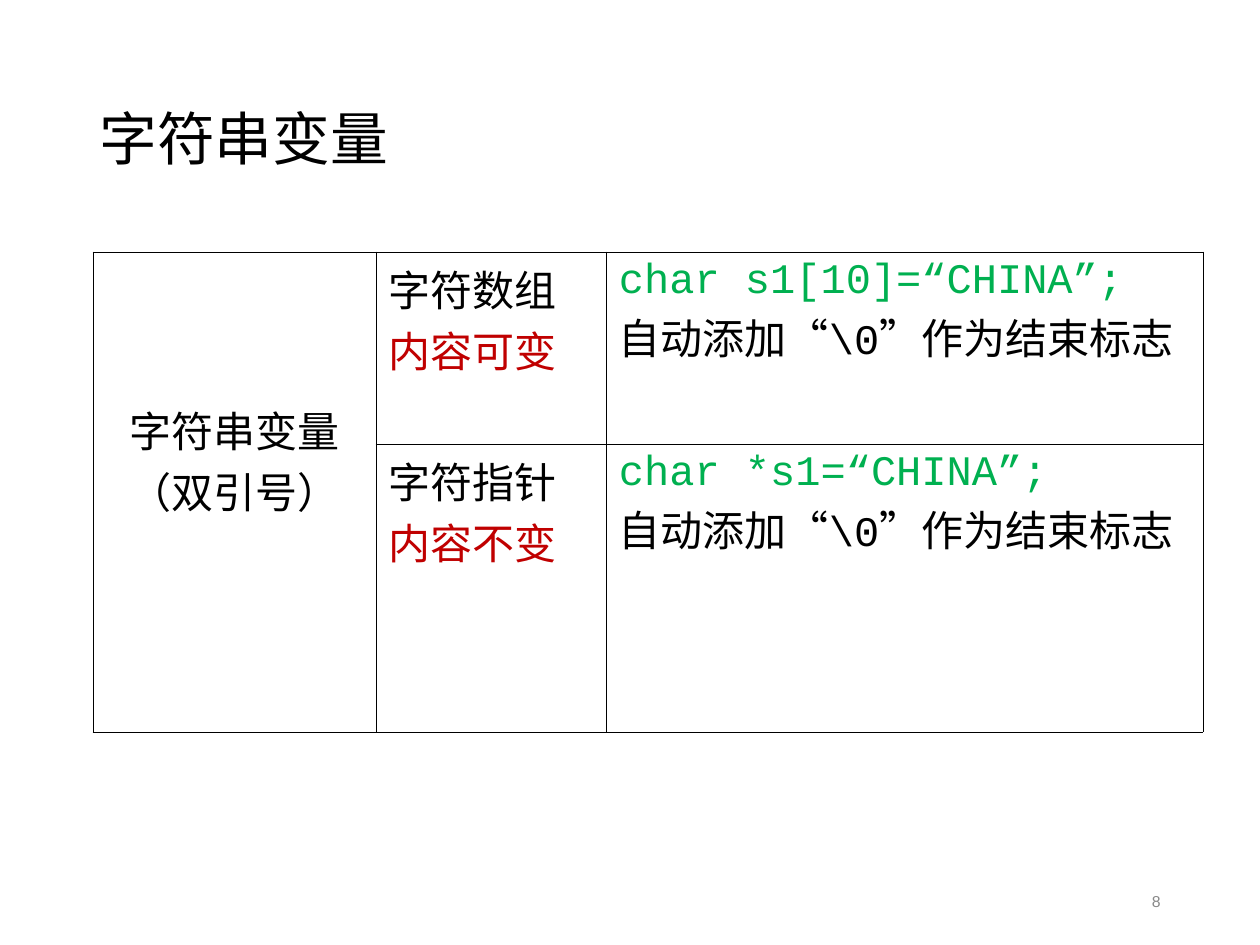
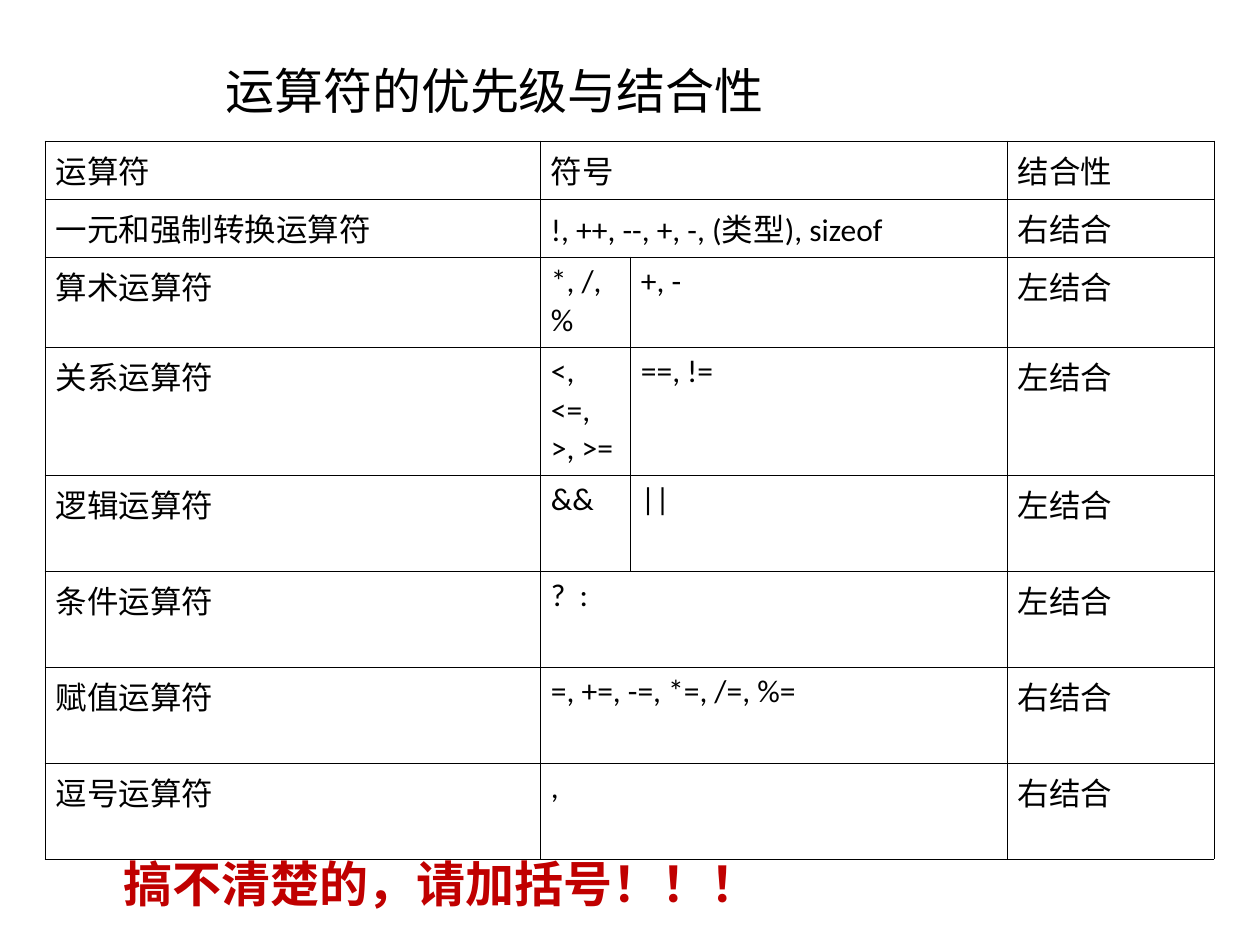
from lxml.etree import SubElement as Sub
from pptx import Presentation
from pptx.dml.color import RGBColor as RGB
from pptx.enum.text import MSO_ANCHOR as Anchor, PP_ALIGN as Align
from pptx.oxml.ns import qn
from pptx.util import Emu, Pt

SCALE = 914400 / 126
COLORS = {"ink": "000000", "red": "C00000", "green": "00B050", "gray": "898989"}
BODY, CODE, HAN, SANS = "Calibri", "Courier New", "Noto Sans CJK SC", "Arial"

# Each line of text: words, colour, font
END = ("自动添加“\\0”作为结束标志", "ink", CODE)
KINDS = [
    [
        [("字符串变量", "ink", BODY), ("（双引号）", "ink", BODY)],
        [("字符数组", "ink", BODY), ("内容可变", "red", BODY)],
        [("char s1[10]=“CHINA”;", "green", CODE), END],
    ],
    [
        None,
        [("字符指针", "ink", BODY), ("内容不变", "red", BODY)],
        [("char *s1=“CHINA”;", "green", CODE), END],
    ],
]

# Operators, one or two groups of symbols, associativity
RANKS = [
    ("运算符", ["符号"], "结合性"),
    ("一元和强制转换运算符", ["!, ++, --, +, -, (类型), sizeof"], "右结合"),
    ("算术运算符", ["*, /, %", "+, -"], "左结合"),
    ("关系运算符", ["<, <=, >, >=", "==, !="], "左结合"),
    ("逻辑运算符", ["&&", "||"], "左结合"),
    ("条件运算符", ["?  :"], "左结合"),
    ("赋值运算符", ["=, +=, -=, *=, /=, %="], "右结合"),
    ("逗号运算符", [","], "右结合"),
]


def px(n):
    return Emu(round(n * SCALE))


def write(frame, lines, size, align=Align.LEFT, bold=False, space=None):
    frame.text = "\n".join(words for words, _, _ in lines)
    for para, (_, color, face) in zip(frame.paragraphs, lines):
        para.alignment = align
        if space:
            para.line_spacing = space
        for run in para.runs:
            font = run.font
            font.name, font.size, font.bold = face, Pt(size), bold
            font.color.rgb = RGB.from_string(COLORS[color])
            Sub(run._r.get_or_add_rPr(), qn("a:ea"), typeface=HAN)


def add_text(slide, box, line, size, anchor=Anchor.TOP, **style):
    frame = slide.shapes.add_textbox(*map(px, box)).text_frame
    frame.word_wrap = True
    frame.vertical_anchor = anchor
    write(frame, [line], size, **style)


def add_title(slide, box, words, size, face):
    add_text(slide, box, (words, "ink", face), size, Anchor.MIDDLE, space=0.9)


def outline(cell):
    """Give the cell four thin black edges and no fill."""
    cell.fill.background()
    props = cell._tc.get_or_add_tcPr()
    for i, side in enumerate("LRTB"):
        edge = Sub(props, qn("a:ln" + side), w=str(Pt(0.45)))
        fill = Sub(edge, qn("a:solidFill"))
        Sub(fill, qn("a:srgbClr"), val=COLORS["ink"])
        props.insert(i, edge)


def add_grid(slide, left, top, cols, rows, pad):
    """Add a plain outlined table with the given side padding."""
    box = map(px, (left, top, sum(cols), sum(rows)))
    grid = slide.shapes.add_table(len(rows), len(cols), *box).table
    grid.first_row = grid.horz_banding = False
    for col, width in zip(grid.columns, cols):
        col.width = px(width)
    for row, height in zip(grid.rows, rows):
        row.height = px(height)
    for cell in grid.iter_cells():
        cell.margin_left = cell.margin_right = px(pad)
        cell.margin_top = cell.margin_bottom = px(6)
        outline(cell)
    return grid


def build_strings(slide):
    add_text(slide, (890, 876, 283, 50), ("8", "gray", SANS), 9,
             Anchor.MIDDLE, align=Align.RIGHT)
    add_title(slide, (87, 50, 1087, 183), "字符串变量", 33, BODY)
    grid = add_grid(slide, 93, 252, [283, 230, 597], [192, 288], 13)
    head = grid.cell(0, 0)
    head.merge(grid.cell(1, 0))
    head.margin_top = px(147)
    for r, row in enumerate(KINDS):
        for c, lines in enumerate(row):
            if lines:
                align = Align.LEFT if c else Align.CENTER
                write(grid.cell(r, c).text_frame, lines, 24, align)


def build_ranks(slide):
    heights = [58, 58, 90, 128] + [96] * 4
    grid = add_grid(slide, 45, 141, [495, 90, 377, 207], heights, 11)
    for r, (name, signs, side) in enumerate(RANKS):
        if len(signs) == 1:
            grid.cell(r, 1).merge(grid.cell(r, 2))
        for c, words in [(0, name), *enumerate(signs, 1), (3, side)]:
            write(grid.cell(r, c).text_frame, [(words, "ink", BODY)], 18)
    add_text(slide, (111, 847, 968, 72),
             ("搞不清楚的，请加括号！！！", "red", SANS), 28, bold=True)
    add_title(slide, (213, 26, 684, 136), "运算符的优先级与结合性", 28, HAN)


def main():
    deck = Presentation()
    deck.slide_width, deck.slide_height = px(1260), px(945)
    for build in (build_strings, build_ranks):
        build(deck.slides.add_slide(deck.slide_layouts[6]))
    deck.save("out.pptx")


if __name__ == "__main__":
    main()
